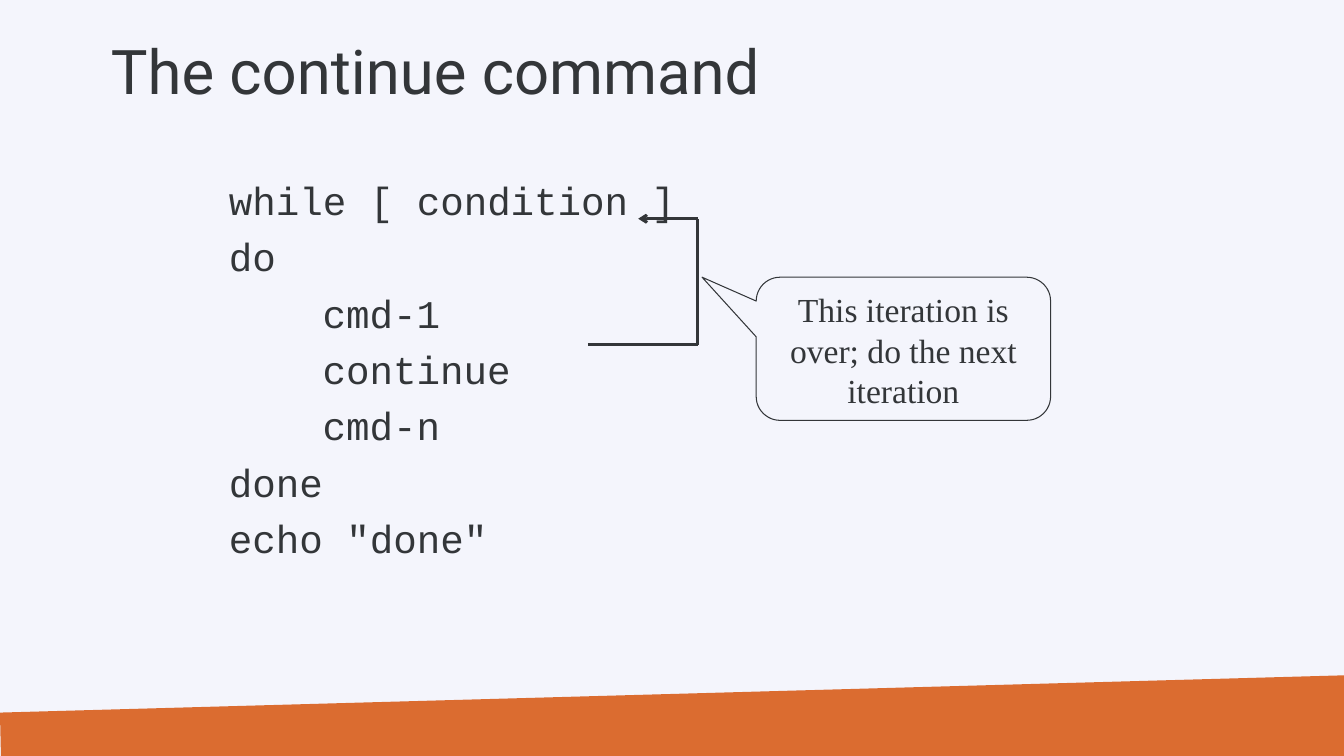
from lxml import etree
from pptx import Presentation
from pptx.dml.color import RGBColor
from pptx.enum.shapes import MSO_CONNECTOR, MSO_SHAPE
from pptx.enum.text import MSO_ANCHOR, MSO_AUTO_SIZE, PP_ALIGN
from pptx.oxml.ns import qn
from pptx.util import Inches, Pt

INK, ORANGE, PAPER = "333639", "DB6C30", "F4F5FC"


def rgb(code):
    return RGBColor.from_string(code)


def add_text(p, text, name, size):
    r = p.add_run()
    r.text = text
    for key, value in {"name": name, "size": Pt(size), "bold": False}.items():
        setattr(r.font, key, value)
    r.font.color.rgb = rgb(INK)


prs = Presentation()
prs.slide_width, prs.slide_height = Inches(13.33), Inches(7.5)
s = prs.slides.add_slide(prs.slide_layouts[1])
s.background.fill.solid()
s.background.fill.fore_color.rgb = rgb(PAPER)
title, body = s.placeholders

# Slanted footer band, behind the text
fb = s.shapes.build_freeform(0, Inches(7.07))
fb.add_line_segments([(Inches(x), Inches(y)) for x, y in
                      [(13.33, 6.7), (13.33, 7.5), (0.01, 7.5)]])
band = fb.convert_to_shape()
band.shadow.inherit = False
band.fill.solid()
band.fill.fore_color.rgb = rgb(ORANGE)
band.line.fill.background()
s.shapes._spTree.insert(2, band._element)

# Title and body frames
for sp, box, anchor in [(title, (1, 0.01, 11.5, 1.45), MSO_ANCHOR.MIDDLE),
                        (body, (2.17, 1.75, 8.17, 5.33), MSO_ANCHOR.TOP)]:
    sp.left, sp.top, sp.width, sp.height = map(Inches, box)
    frame = {"vertical_anchor": anchor, "word_wrap": True,
             "auto_size": MSO_AUTO_SIZE.NONE}
    for key, value in frame.items():
        setattr(sp.text_frame, key, value)

p = title.text_frame.paragraphs[0]
p.alignment, p.line_spacing = PP_ALIGN.LEFT, 0.9
add_text(p, "The continue command", "Roboto", 44)

# Code listing: (nesting level, line)
code = [(0, "while [ condition ]"), (0, "do"), (1, "cmd-1"), (1, "continue"),
        (1, "cmd-n"), (0, "done"), (0, 'echo "done"')]
tf = body.text_frame
for i, (level, line) in enumerate(code):
    p = tf.add_paragraph() if i else tf.paragraphs[0]
    p.alignment, p.line_spacing = PP_ALIGN.LEFT, 0.9
    p.space_before = Pt(10)
    pPr = p._p.get_or_add_pPr()
    pPr.set("marL", str(Inches(0.25 + 0.93 * level)))
    pPr.set("indent", str(Inches(-0.25)))
    etree.SubElement(pPr, qn("a:buNone"))
    add_text(p, line, "Courier New", 28)

# Callout
sp = s.shapes.add_shape(MSO_SHAPE.ROUNDED_RECTANGULAR_CALLOUT,
                        *map(Inches, (7.5, 2.75, 2.92, 1.42)))
for i, value in enumerate((-0.684, -0.5, 0.167)):
    sp.adjustments[i] = value
sp.shadow.inherit = False
sp.fill.background()
sp.line.color.rgb = rgb(INK)
sp.line.width = Pt(0.75)
tf = sp.text_frame
tf.word_wrap, tf.vertical_anchor = True, MSO_ANCHOR.TOP
p = tf.paragraphs[0]
p.alignment = PP_ALIGN.CENTER
add_text(p, "This iteration is over; do the next iteration",
         "Times New Roman", 24)

# Jump from continue back to the loop condition
route = [(5.83, 3.42), (6.92, 3.42), (6.92, 2.17), (6.33, 2.17)]
jump = s.shapes.add_group_shape()
for start, end in zip(route, route[1:]):
    ln = jump.shapes.add_connector(MSO_CONNECTOR.STRAIGHT,
                                   *map(Inches, start + end))
    ln.line.color.rgb = rgb(INK)
    ln.line.width = Pt(2)
    etree.SubElement(ln._element.spPr, qn("a:effectLst"))
etree.SubElement(ln.line._get_or_add_ln(), qn("a:tailEnd"), type="arrow")

prs.save("out.pptx")
